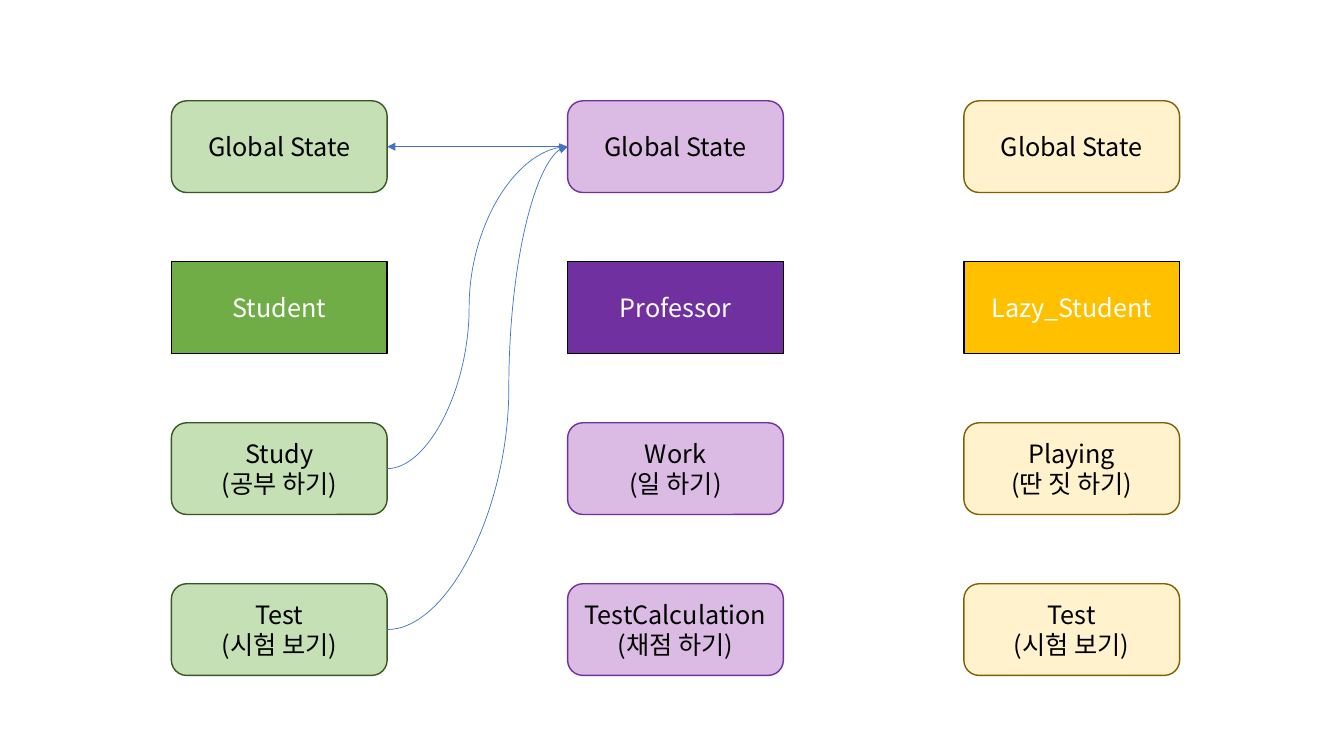
from pptx import Presentation
from pptx.dml.color import RGBColor
from pptx.enum.shapes import MSO_CONNECTOR, MSO_SHAPE
from pptx.enum.text import MSO_ANCHOR, PP_ALIGN
from pptx.oxml.ns import qn
from pptx.util import Inches, Pt
from lxml.etree import SubElement

FONT = "Noto Sans CJK KR"
BOX_W, BOX_H = 2.14, 0.91
LEFT, TOP = 1.7, 1.0
COL_STEP, ROW_STEP = 3.93, 1.597
RIGHT_SITE, LEFT_SITE = 3, 1

AGENTS = [
    ("Student", "70AD47", "C5E0B4", "385723",
     ["Study\n(공부 하기)", "Test\n(시험 보기)"]),
    ("Professor", "7030A0", "DBBAE4", "7030A0",
     ["Work\n(일 하기)", "TestCalculation\n(채점 하기)"]),
    ("Lazy_Student", "FFC000", "FFF2CC", "806000",
     ["Playing\n(딴 짓 하기)", "Test\n(시험 보기)"]),
]


def rgb(value):
    return RGBColor.from_string(value)


def write(tf, text, size=18, color="000000", align=PP_ALIGN.CENTER):
    tf.word_wrap = True
    tf.vertical_anchor = MSO_ANCHOR.MIDDLE
    tf.text = text
    for p in tf.paragraphs:
        p.alignment = align
        for r in p.runs:
            r.font.size = Pt(size)
            r.font.name = FONT
            r.font.color.rgb = rgb(color)
            SubElement(r.font._element, qn("a:ea")).set("typeface", FONT)


def add_box(s, kind, x, y, text, fill, line, color):
    sp = s.shapes.add_shape(kind, Inches(x), Inches(y), Inches(BOX_W), Inches(BOX_H))
    sp.shadow.inherit = False
    sp.fill.solid()
    sp.fill.fore_color.rgb = rgb(fill)
    sp.line.color.rgb = rgb(line)
    sp.line.width = Pt(1)
    write(sp.text_frame, text, color=color)
    return sp


def add_agent(s, x, y, name, strong, pale, edge, states):
    rounded, rect = MSO_SHAPE.ROUNDED_RECTANGLE, MSO_SHAPE.RECTANGLE
    rows = [(rounded, "Global State", pale, edge, "000000"),
            (rect, name, strong, "000000", "FFFFFF")]
    rows += [(rounded, state, pale, edge, "000000") for state in states]
    return [add_box(s, kind, x, y + i * ROW_STEP, *style)
            for i, (kind, *style) in enumerate(rows)]


def add_arrow(s, start, start_site, end, end_site, bend=0.5):
    c = s.shapes.add_connector(MSO_CONNECTOR.CURVE, 0, 0, 0, 0)
    c.begin_connect(start, start_site)
    c.end_connect(end, end_site)
    c.line.color.rgb = rgb("4472C4")
    c.line.width = Pt(0.5)
    SubElement(c.line._get_or_add_ln(), qn("a:tailEnd")).set("type", "triangle")
    props = c._element.spPr
    SubElement(props, qn("a:effectLst"))
    guide = SubElement(props.find(".//" + qn("a:avLst")), qn("a:gd"))
    guide.set("name", "adj1")
    guide.set("fmla", f"val {round(bend * 100000)}")


def add_state_diagram(s, x, y):
    student, professor, _ = [add_agent(s, x + i * COL_STEP, y, *agent)
                             for i, agent in enumerate(AGENTS)]
    target = professor[0]
    for state, bend in zip(student[2:], (0.454, 0.674)):
        add_arrow(s, state, RIGHT_SITE, target, LEFT_SITE, bend)
    add_arrow(s, target, LEFT_SITE, student[0], RIGHT_SITE)


prs = Presentation()
prs.slide_width, prs.slide_height = Inches(13.33), Inches(7.5)
s = prs.slides.add_slide(prs.slide_layouts[6])
add_state_diagram(s, LEFT, TOP)
prs.save("out.pptx")
